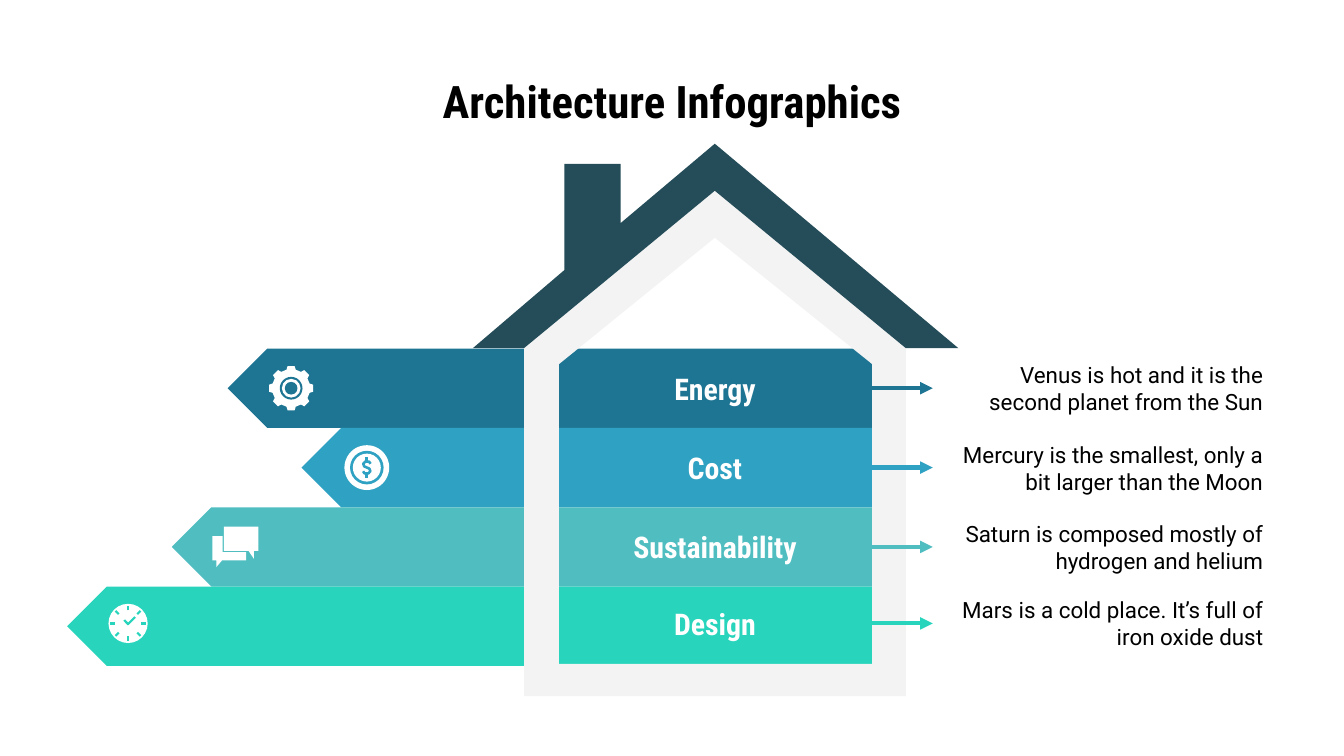
from dataclasses import dataclass
from math import cos, radians, sin

from lxml import etree
from pptx import Presentation
from pptx.dml.color import RGBColor
from pptx.enum import shapes, text
from pptx.oxml import ns
from pptx.util import Pt


@dataclass(frozen=True)
class Theme:
    energy: str = "1E7593"
    cost: str = "2FA1C2"
    sustainability: str = "50BEC1"
    design: str = "28D5BC"
    roof: str = "244C59"
    wall: str = "F3F3F3"
    white: str = "FFFFFF"
    black: str = "000000"
    heading_font: str = "Roboto Condensed"
    body_font: str = "Roboto"
    title_size: int = 24
    label_size: int = 16
    body_size: int = 12


theme = Theme()


def draw(contours, color, stroke=0):
    closed = not stroke
    builder = None
    for contour in contours:
        points = [(Pt(x), Pt(y)) for x, y in contour]
        if builder is None:
            builder = slide.shapes.build_freeform(*points[0])
        else:
            builder.move_to(*points[0])
        builder.add_line_segments(points[1:], close=closed)
    shape = builder.convert_to_shape()
    shape.shadow.inherit = False
    if stroke:
        shape.fill.background()
        shape.line.color.rgb = RGBColor.from_string(color)
        shape.line.width = Pt(stroke)
    else:
        shape.fill.solid()
        shape.fill.fore_color.rgb = RGBColor.from_string(color)
        shape.line.fill.background()


def write(shape, content, align, anchor, font, size, color, bold=False):
    frame = shape.text_frame
    frame.word_wrap = True
    frame.auto_size = text.MSO_AUTO_SIZE.NONE
    frame.vertical_anchor = anchor
    frame.margin_left = frame.margin_right = Pt(7.2)
    frame.margin_top = frame.margin_bottom = Pt(7.2)
    paragraph = frame.paragraphs[0]
    paragraph.alignment = align
    run = paragraph.add_run()
    run.text = content
    run.font.name = font
    run.font.size = Pt(size)
    run.font.bold = bold
    run.font.color.rgb = RGBColor.from_string(color)


presentation = Presentation()
presentation.slide_width = Pt(720)
presentation.slide_height = Pt(405)
slide = presentation.slides.add_slide(presentation.slide_layouts[5])

title = slide.shapes.title
title.left, title.top, title.width, title.height = Pt(36), Pt(32.4), Pt(648), Pt(31.7)
write(title, "Architecture Infographics", text.PP_ALIGN.CENTER, text.MSO_ANCHOR.TOP,
      theme.heading_font, theme.title_size, theme.black, True)

floors = [
    ("Energy", "Venus is hot and it is the second planet from the Sun", theme.energy, 122, 208),
    ("Cost", "Mercury is the smallest, only a bit larger than the Moon", theme.cost, 161.5, 250.5),
    ("Sustainability", "Saturn is composed mostly of hydrogen and helium",
     theme.sustainability, 92, 293),
    ("Design", "Mars is a cold place. It’s full of iron oxide dust", theme.design, 36, 334),
]
band_height = 42.5
band_right = 467.5

for index, (label, description, color, left, label_y) in enumerate(floors):
    length = band_right - left
    center_x = (left + band_right) / 2
    center_y = 208 + index * band_height
    band = slide.shapes.add_shape(
        shapes.MSO_SHAPE.SNIP_2_SAME_RECTANGLE, Pt(center_x - band_height / 2),
        Pt(center_y - length / 2), Pt(band_height), Pt(length))
    band.rotation = 270
    band.adjustments[0] = 0.5
    band.adjustments[1] = 0
    band.shadow.inherit = False
    band.fill.solid()
    band.fill.fore_color.rgb = RGBColor.from_string(color)
    band.line.fill.background()

outer_wall = [(485.3, 186.5), (485.3, 373), (280.8, 373), (280.8, 186.5), (383, 102.2)]
inner_wall = [(467.3, 195.1), (383, 127.4), (299.5, 195.1), (299.5, 355.7), (467.3, 355.7)]
roof = [(253.4, 186.5), (280.8, 186.5), (383, 102.2), (485.3, 186.5), (513.4, 186.5),
        (383, 77), (332.6, 119.5), (332.6, 87.8), (302.4, 87.8), (302.4, 144.7)]
draw([outer_wall, inner_wall], theme.wall)
draw([roof], theme.roof)

gear_x, gear_y = 156, 208
coin_x, coin_y = 196.5, 250.5
clock_x, clock_y = 68.6, 334
gear = [(gear_x + radius * cos(radians(tooth + offset)),
         gear_y + radius * sin(radians(tooth + offset)))
        for tooth in range(0, 360, 45)
        for offset, radius in ((-14, 10.2), (-9, 12), (9, 12), (14, 10.2))]
draw([gear], theme.white)

discs = [
    (gear_x, gear_y, 6.1, theme.energy),
    (gear_x, gear_y, 5, theme.white),
    (gear_x, gear_y, 3.4, theme.energy),
    (coin_x, coin_y, 12, theme.white),
    (coin_x, coin_y, 9, theme.cost),
    (coin_x, coin_y, 7.5, theme.white),
    (clock_x, clock_y, 10.5, theme.white),
]
for x, y, radius, color in discs:
    disc = slide.shapes.add_shape(shapes.MSO_SHAPE.OVAL, Pt(x - radius), Pt(y - radius),
                                  Pt(2 * radius), Pt(2 * radius))
    disc.shadow.inherit = False
    disc.fill.solid()
    disc.fill.fore_color.rgb = RGBColor.from_string(color)
    disc.line.fill.background()

dollar_curve = [(2, -2), (1.2, -3.2), (-0.8, -3.2), (-1.9, -2), (-1.4, -0.6),
                (1.4, 0.6), (1.9, 2), (0.8, 3.2), (-1.2, 3.2), (-2, 2)]
dollar = [dollar_curve, [(0, -5.5), (0, -3.2)], [(0, 3.2), (0, 5.5)]]
draw([[(coin_x + x, coin_y + y) for x, y in stroke] for stroke in dollar], theme.cost, 1.4)

ticks = [[(clock_x + radius * cos(radians(angle)), clock_y + radius * sin(radians(angle)))
          for radius in (7, 9.5)] for angle in range(0, 360, 45)]
hands = [(clock_x - 2, clock_y - 1.8), (clock_x, clock_y + 0.4), (clock_x + 3.8, clock_y - 3.4)]
draw(ticks + [hands], theme.design, 1.2)

back_bubble = [(113.8, 287.3), (113.8, 300.2), (115.9, 300.2), (115.9, 303.8), (119, 300.2),
               (131.8, 300.2), (131.8, 295.9), (119.3, 295.9), (119.3, 287.3)]
front_bubble = [(120, 282.2), (120, 295.2), (133.2, 295.2), (136.1, 299.5),
                (136.1, 295.2), (138.4, 295.2), (138.4, 282.2)]
draw([back_bubble], theme.white)
draw([front_bubble], theme.white)

for label, description, color, left, label_y in floors:
    description_box = slide.shapes.add_textbox(Pt(501), Pt(label_y - 15.8), Pt(182.9), Pt(31.7))
    write(description_box, description, text.PP_ALIGN.RIGHT, text.MSO_ANCHOR.MIDDLE,
          theme.body_font, theme.body_size, theme.black)
    label_box = slide.shapes.add_textbox(Pt(298.8), Pt(label_y - 13.7), Pt(168.5), Pt(27.4))
    write(label_box, label, text.PP_ALIGN.CENTER, text.MSO_ANCHOR.MIDDLE,
          theme.heading_font, theme.label_size, theme.white, True)
    arrow = slide.shapes.add_connector(shapes.MSO_CONNECTOR.STRAIGHT, Pt(444.3), Pt(label_y),
                                       Pt(499.7), Pt(label_y))
    arrow.line.color.rgb = RGBColor.from_string(color)
    arrow.line.width = Pt(2.25)
    etree.SubElement(arrow.line._get_or_add_ln(), ns.qn("a:tailEnd"), type="triangle")
    etree.SubElement(arrow._element.spPr, ns.qn("a:effectLst"))

presentation.save("out.pptx")
